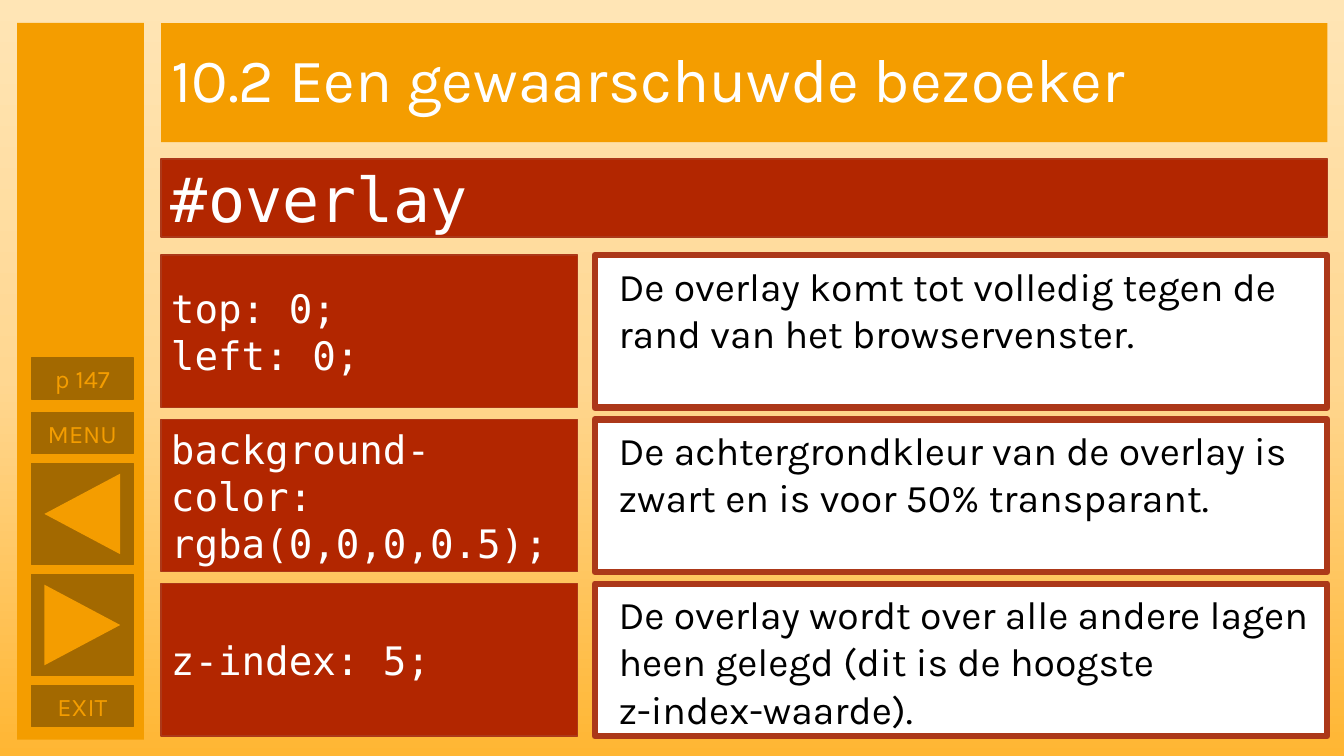
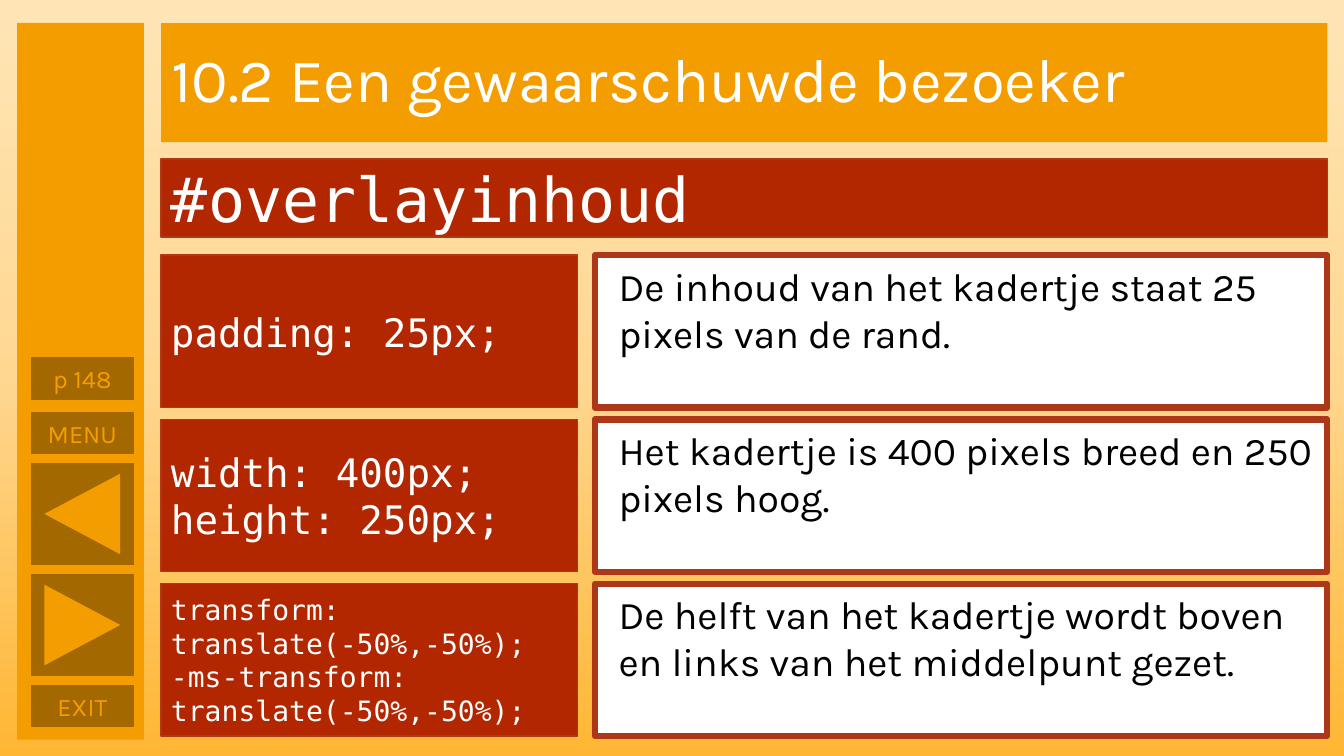
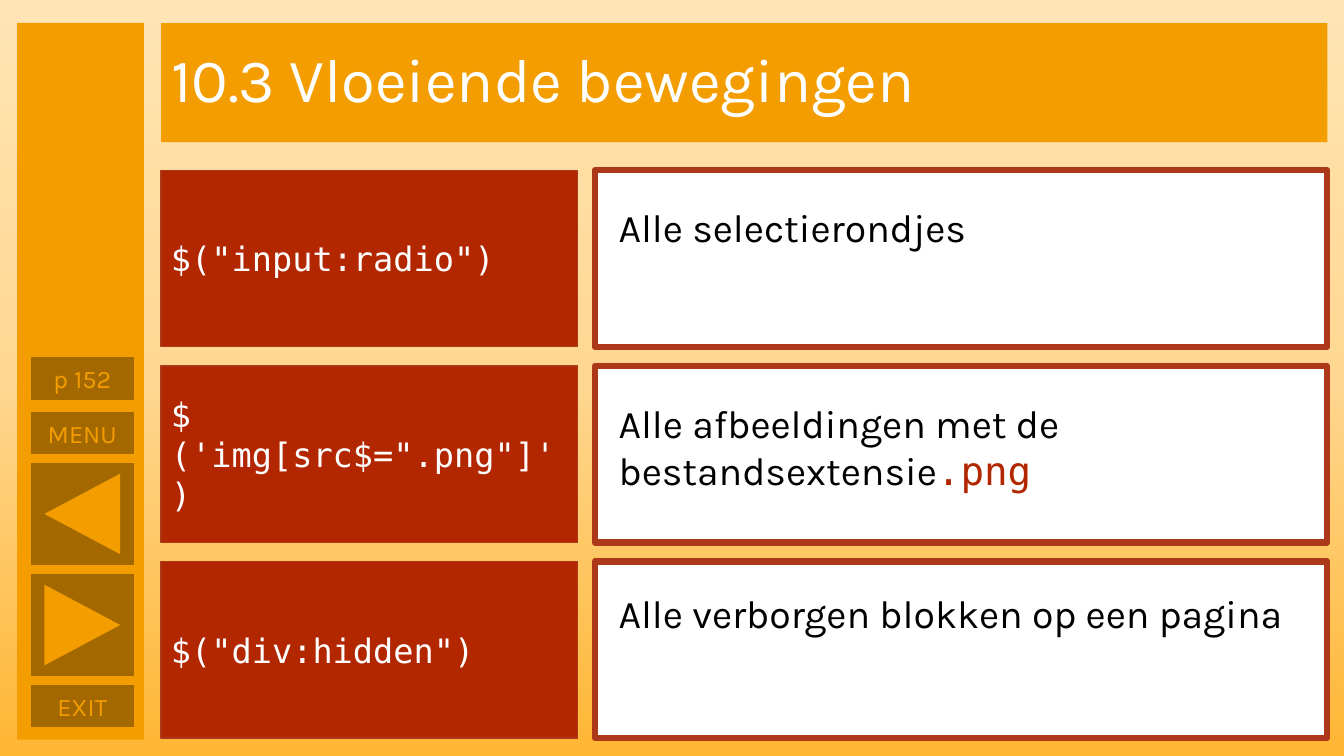
from copy import deepcopy
from dataclasses import dataclass

from pptx import Presentation
from pptx.dml.color import RGBColor
from pptx.enum import shapes, text
from pptx.util import Cm, Pt

ORANGE = RGBColor(0xF4, 0x9D, 0x00)
BROWN = RGBColor(0xA3, 0x69, 0x00)
RED = RGBColor(0xB2, 0x26, 0x00)
RED_EDGE = RGBColor(0xAC, 0x38, 0x19)
WHITE = RGBColor(0xFF, 0xFF, 0xFF)
BLACK = RGBColor(0x00, 0x00, 0x00)
BACKDROP = (
    (0, RGBColor(0xFF, 0xE5, 0xB5)),
    (0.5, RGBColor(0xFF, 0xD7, 0x91)),
    (1, RGBColor(0xFF, 0xB6, 0x33)),
)

BODY_FONT = "Karla"
CODE_FONT = "DejaVu Sans Mono"

CONTENT_LEFT, CONTENT_WIDTH = 4.06, 29.39
CODE_WIDTH = 10.49
COLUMN_GAP = 0.44
LINE_HEIGHT = 1.19

RECTANGLE = shapes.MSO_SHAPE.RECTANGLE
TRIANGLE = shapes.MSO_SHAPE.ISOSCELES_TRIANGLE


@dataclass
class Row:
    code: str
    explanation: str
    lines: int = 2
    code_size: int = 28
    text_drop: float = 0.05
    code_ending: str = ""


def lengths(box):
    return [Cm(length) for length in box]


def style_run(run, font, size, color):
    run.font.name = font
    run.font.size = Pt(size)
    run.font.color.rgb = color


def write(frame, words, font, size, color, align=text.PP_ALIGN.LEFT):
    frame.text = words
    frame.word_wrap = True
    for paragraph in frame.paragraphs:
        paragraph.alignment = align
        for run in paragraph.runs:
            style_run(run, font, size, color)


def add_block(slide, box, fill, edge=None, edge_width=1, kind=RECTANGLE):
    block = slide.shapes.add_shape(kind, *lengths(box))
    block.shadow.inherit = False
    block.fill.solid()
    block.fill.fore_color.rgb = fill
    if edge is None:
        block.line.fill.background()
    else:
        block.line.color.rgb = edge
        block.line.width = Pt(edge_width)
    block.text_frame.vertical_anchor = text.MSO_ANCHOR.MIDDLE
    return block


def paint_backdrop(master):
    fill = master.background.fill
    fill.gradient()
    fill.gradient_angle = 270
    stop_list = master.element.xpath("./p:cSld/p:bg//a:gsLst")[0]
    while len(stop_list) < len(BACKDROP):
        stop_list.append(deepcopy(stop_list[0]))
    for stop, (position, color) in zip(fill.gradient_stops, BACKDROP):
        stop.position = position
        stop.color.rgb = color


def add_title(slide, words):
    title = slide.shapes.title
    title.left, title.top, title.width, title.height = lengths(
        (CONTENT_LEFT, 0.58, CONTENT_WIDTH, 3))
    title.fill.solid()
    title.fill.fore_color.rgb = ORANGE
    frame = title.text_frame
    write(frame, words, BODY_FONT, 44, WHITE)
    frame.auto_size = text.MSO_AUTO_SIZE.NONE
    frame.vertical_anchor = text.MSO_ANCHOR.MIDDLE
    frame.paragraphs[0].line_spacing = 0.9


def add_label_button(slide, box, label):
    button = add_block(slide, box, BROWN, BROWN)
    write(button.text_frame, label, BODY_FONT, 18, ORANGE,
          text.PP_ALIGN.CENTER)


def add_arrow_button(slide, box, rotation):
    left, top, width, height = box
    add_block(slide, box, BROWN, BROWN)
    base, rise = 2.03, 1.91
    arrow_box = (left + (width - base) / 2, top + (height - rise) / 2,
                 base, rise)
    add_block(slide, arrow_box, ORANGE, kind=TRIANGLE).rotation = rotation


def add_sidebar(slide, box, page):
    left, top = box[:2]
    add_block(slide, box, ORANGE)
    for drop, label in ((8.44, page), (9.81, "MENU"), (16.69, "EXIT")):
        add_label_button(slide, (left + 0.36, top + drop, 2.57, 1.04), label)
    for drop, rotation in ((11.1, 270), (13.9, 90)):
        add_arrow_button(slide, (left + 0.36, top + drop, 2.57, 2.54),
                         rotation)


def add_code(slide, box, code, size):
    block = add_block(slide, box, RED, RED_EDGE)
    write(block.text_frame, code, CODE_FONT, size, WHITE)


def add_explanation(slide, box, row):
    left, top, width, _ = box
    add_block(slide, box, WHITE, RED_EDGE, 4.5)
    note = slide.shapes.add_textbox(*lengths(
        (left + 0.35, top + row.text_drop, width - 0.38,
         0.25 + LINE_HEIGHT * row.lines)))
    frame = note.text_frame
    write(frame, row.explanation, BODY_FONT, 28, BLACK)
    frame.auto_size = text.MSO_AUTO_SIZE.SHAPE_TO_FIT_TEXT
    if row.code_ending:
        ending = frame.paragraphs[0].add_run()
        ending.text = row.code_ending
        style_run(ending, CODE_FONT, 28, RED)


def add_rows(slide, top, height, gap, rows):
    panel_left = CONTENT_LEFT + CODE_WIDTH + COLUMN_GAP
    panel_width = CONTENT_WIDTH - CODE_WIDTH - COLUMN_GAP
    for index, row in enumerate(rows):
        row_top = top + index * (height + gap)
        add_code(slide, (CONTENT_LEFT, row_top, CODE_WIDTH, height),
                 row.code, row.code_size)
        add_explanation(slide, (panel_left, row_top, panel_width, height), row)


def add_lesson_slide(prs, title, page):
    slide = prs.slides.add_slide(prs.slide_layouts.get_by_name("Title Only"))
    add_title(slide, title)
    add_sidebar(slide, (0.43, 0.58, 3.2, 18.06), page)
    return slide


def add_selector_slide(prs, title, page, selector, rows):
    """Slide with a CSS selector above its explained properties."""
    slide = add_lesson_slide(prs, title, page)
    add_code(slide, (CONTENT_LEFT, 4.01, CONTENT_WIDTH, 1.96), selector, 44)
    add_rows(slide, 6.43, 3.84, 0.3, rows)


def add_query_slide(prs, title, page, rows):
    """Slide with explained jQuery selectors only."""
    slide = add_lesson_slide(prs, title, page)
    add_rows(slide, 4.29, 4.45, 0.48, rows)


def main():
    prs = Presentation()
    prs.slide_width, prs.slide_height = Cm(33.87), Cm(19.05)
    paint_backdrop(prs.slide_master)

    visitor = "10.2 Een gewaarschuwde bezoeker"
    add_selector_slide(prs, visitor, "p 147", "#overlay", (
        Row("top: 0;\nleft: 0;",
            "De overlay komt tot volledig tegen de rand van het "
            "browservenster."),
        Row("background-color: rgba(0,0,0,0.5);",
            "De achtergrondkleur van de overlay is zwart en is voor 50% "
            "transparant."),
        Row("z-index: 5;",
            "De overlay wordt over alle andere lagen heen gelegd (dit is de "
            "hoogste\vz-index-waarde).", lines=3),
    ))
    add_selector_slide(prs, visitor, "p 148", "#overlayinhoud", (
        Row("padding: 25px;",
            "De inhoud van het kadertje staat 25 pixels van de rand."),
        Row("width: 400px;\nheight: 250px;",
            "Het kadertje is 400 pixels breed en 250 pixels hoog."),
        Row("transform:\ntranslate(-50%,-50%);\n"
            "-ms-transform:\ntranslate(-50%,-50%);",
            "De helft van het kadertje wordt boven en links van het "
            "middelpunt gezet.", code_size=20),
    ))
    add_query_slide(prs, "10.3 Vloeiende bewegingen", "p 152", (
        Row('$("input:radio")', "Alle selectierondjes",
            lines=1, code_size=24, text_drop=0.71),
        Row("$('img[src$=\".png\"]')",
            "Alle afbeeldingen met de bestandsextensie",
            code_size=24, text_drop=0.71, code_ending=".png"),
        Row('$("div:hidden")', "Alle verborgen blokken op een pagina",
            lines=1, code_size=24, text_drop=0.58),
    ))
    prs.save("out.pptx")


if __name__ == "__main__":
    main()
